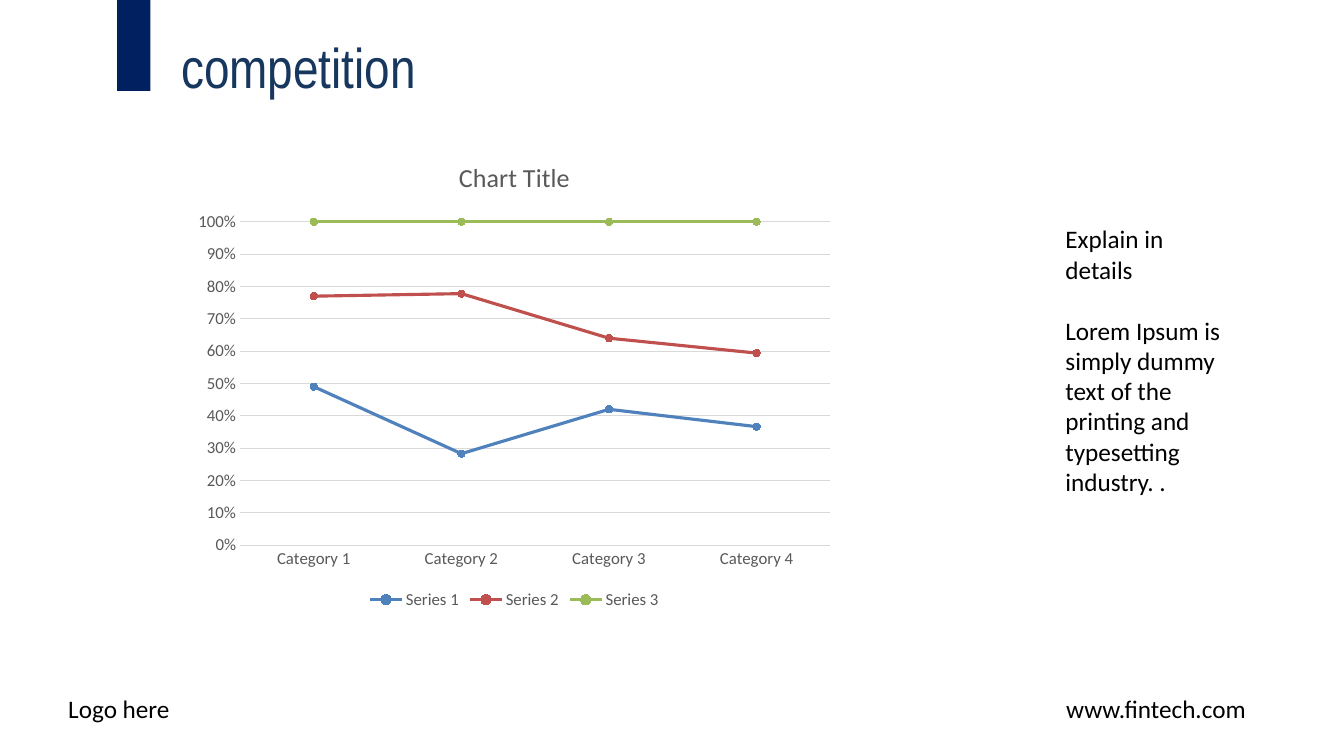
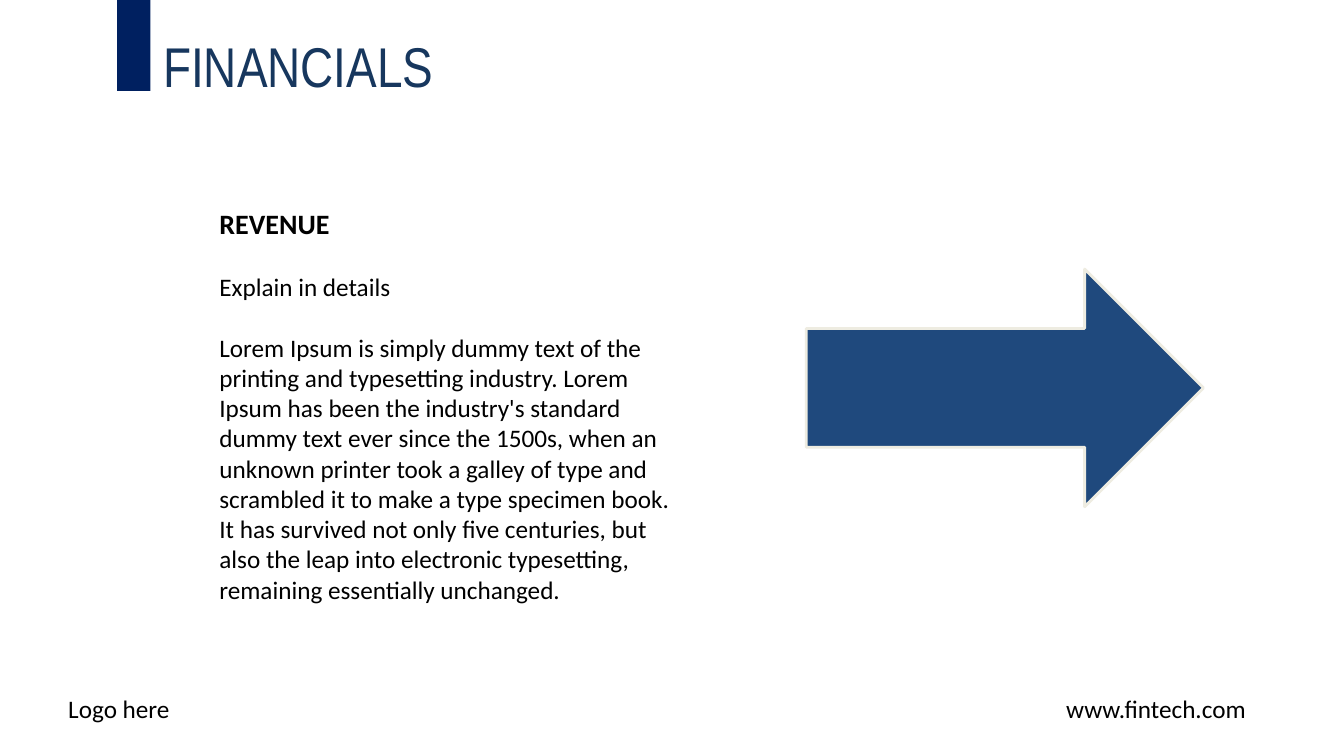
from dataclasses import dataclass

import pptx
import pptx.chart.data
import pptx.dml.color
import pptx.enum.chart
import pptx.enum.shapes
import pptx.enum.text
import pptx.slide
import pptx.util

Cm = pptx.util.Cm
Pt = pptx.util.Pt


@dataclass(frozen=True)
class Theme:
    head: str = "Arial Narrow"
    body: str = "Calibri"
    ink: str = "000000"
    navy: str = "17375E"
    band: str = "002060"
    blue: str = "1F497D"
    cream: str = "EEECE1"
    grey: str = "595959"
    grid: str = "D9D9D9"
    lines: tuple[str, ...] = ("4F81BD", "C0504D", "9BBB59")
    big: float = 40
    lead: float = 20
    text: float = 18
    caption: float = 18.6
    label: float = 12
    gap: float = 22


@dataclass(frozen=True)
class Box:
    left: float
    top: float
    width: float
    height: float

    def place(self) -> tuple[int, int, int, int]:
        return Cm(self.left), Cm(self.top), Cm(self.width), Cm(self.height)


@dataclass(frozen=True)
class Para:
    text: str
    size: float
    bold: bool = False


@dataclass(frozen=True)
class Foot:
    text: str
    box: Box


THEME = Theme()
FEET = (
    Foot("www.fintech.com", Box(26.62, 17.35, 5.08, 1.02)),
    Foot("Logo here", Box(1.47, 17.35, 3.1, 1.02)),
)
BAND = Box(2.95, 0, 0.84, 2.29)
GROUPS = ("Category 1", "Category 2", "Category 3", "Category 4")
SERIES = {
    "Series 1": (49, 28, 42, 37),
    "Series 2": (28, 49, 22, 23),
    "Series 3": (23, 22, 36, 41),
}


def shade(code: str) -> pptx.dml.color.RGBColor:
    return pptx.dml.color.RGBColor.from_string(code)


def style(font, size: float, color: str, face: str = THEME.body, bold: bool = False) -> None:
    font.name = face
    font.size = Pt(size)
    font.bold = bold
    font.color.rgb = shade(color)


def stroke(line, color: str, width: float) -> None:
    line.color.rgb = shade(color)
    line.width = Pt(width)


def add_title(slide: pptx.slide.Slide, text: str, box: Box) -> None:
    frame = slide.shapes.add_textbox(*box.place()).text_frame
    frame.word_wrap = True
    frame.vertical_anchor = pptx.enum.text.MSO_ANCHOR.MIDDLE
    frame.text = text
    para = frame.paragraphs[0]
    para.alignment = pptx.enum.text.PP_ALIGN.CENTER
    style(para.runs[0].font, THEME.big, THEME.navy, THEME.head)


def add_text(slide: pptx.slide.Slide, box: Box, items: tuple[Para, ...], wrap: bool = True) -> None:
    frame = slide.shapes.add_textbox(*box.place()).text_frame
    frame.word_wrap = wrap
    for order, item in enumerate(items):
        para = frame.add_paragraph() if order else frame.paragraphs[0]
        para.text = item.text
        if order:
            para.space_before = Pt(THEME.gap)
        style(para.runs[0].font, item.size, THEME.ink, bold=item.bold)


def add_form(slide: pptx.slide.Slide, kind: pptx.enum.shapes.MSO_SHAPE, box: Box, fill: str, edge: str = "") -> None:
    shape = slide.shapes.add_shape(kind, *box.place())
    shape.shadow.inherit = False
    shape.fill.solid()
    shape.fill.fore_color.rgb = shade(fill)
    if edge:
        stroke(shape.line, edge, 2)
    else:
        shape.line.fill.background()


def add_chart(slide: pptx.slide.Slide, box: Box) -> None:
    kinds = pptx.enum.chart
    data = pptx.chart.data.CategoryChartData()
    data.categories = GROUPS
    for name, values in SERIES.items():
        data.add_series(name, values)
    kind = kinds.XL_CHART_TYPE.LINE_MARKERS_STACKED_100
    chart = slide.shapes.add_chart(kind, *box.place(), data).chart
    style(chart.font, THEME.label, THEME.grey)

    chart.has_title = True
    title = chart.chart_title.text_frame
    title.text = "Chart Title"
    style(title.paragraphs[0].runs[0].font, THEME.caption, THEME.grey)

    chart.has_legend = True
    chart.legend.position = kinds.XL_LEGEND_POSITION.BOTTOM
    chart.legend.include_in_layout = False
    style(chart.legend.font, THEME.label, THEME.grey)

    for axis in (chart.category_axis, chart.value_axis):
        axis.major_tick_mark = kinds.XL_TICK_MARK.NONE
        axis.minor_tick_mark = kinds.XL_TICK_MARK.NONE
        style(axis.tick_labels.font, THEME.label, THEME.grey)
    stroke(chart.category_axis.format.line, THEME.grid, 0.75)
    scale = chart.value_axis
    scale.format.line.fill.background()
    scale.has_major_gridlines = True
    stroke(scale.major_gridlines.format.line, THEME.grid, 0.75)
    scale.tick_labels.number_format = "0%"
    scale.tick_labels.number_format_is_linked = False

    plot = chart.plots[0]
    plot.vary_by_categories = False
    for series, color in zip(plot.series, THEME.lines):
        series.smooth = False
        stroke(series.format.line, color, 2.25)
        mark = series.marker
        mark.style = kinds.XL_MARKER_STYLE.CIRCLE
        mark.size = 5
        mark.format.fill.solid()
        mark.format.fill.fore_color.rgb = shade(color)
        stroke(mark.format.line, color, 0.75)


def add_slide(deck, title: str, box: Box) -> pptx.slide.Slide:
    slide = deck.slides.add_slide(deck.slide_layouts[6])
    add_title(slide, title, box)
    for foot in FEET:
        add_text(slide, foot.box, (Para(foot.text, THEME.text),), wrap=False)
    add_form(slide, pptx.enum.shapes.MSO_SHAPE.RECTANGLE, BAND, THEME.band)
    return slide


def main() -> None:
    deck = pptx.Presentation()
    deck.slide_width = Cm(33.87)
    deck.slide_height = Cm(19.05)

    rivals = add_slide(deck, "competition", Box(2.54, 0.46, 9.96, 2.41))
    add_text(rivals, Box(26.6, 5.51, 4.52, 7.19), (
        Para("Explain in details", THEME.text),
        Para("Lorem Ipsum is simply dummy text of the printing and typesetting industry. .", THEME.text),
    ))
    add_chart(rivals, Box(4.67, 3.51, 16.59, 11.96))

    funds = add_slide(deck, "FINANCIALS", Box(3.81, 0.43, 7.42, 2.41))
    add_text(funds, Box(5.28, 5.08, 12.07, 10.34), (
        Para("REVENUE", THEME.lead, True),
        Para("Explain in details", THEME.text),
        Para(
            "Lorem Ipsum is simply dummy text of the printing and typesetting industry. "
            "Lorem Ipsum has been the industry's standard dummy text ever since the 1500s, "
            "when an unknown printer took a galley of type and scrambled it to make a type "
            "specimen book. It has survived not only five centuries, but also the leap into "
            "electronic typesetting, remaining essentially unchanged.",
            THEME.text,
        ),
    ))
    arrow = pptx.enum.shapes.MSO_SHAPE.RIGHT_ARROW
    add_form(funds, arrow, Box(20.32, 6.78, 10.01, 5.99), THEME.blue, THEME.cream)

    deck.save("out.pptx")


if __name__ == "__main__":
    main()
